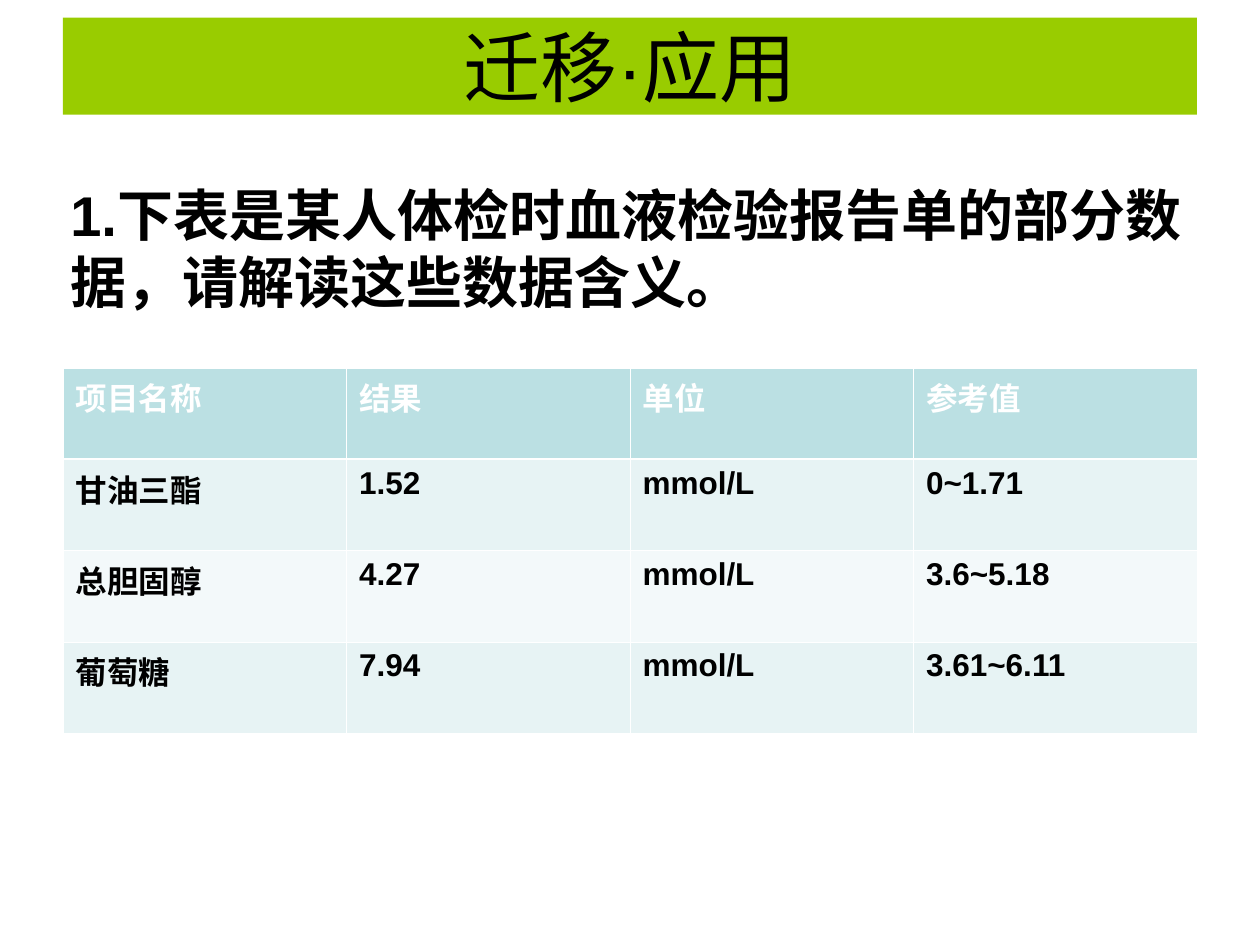
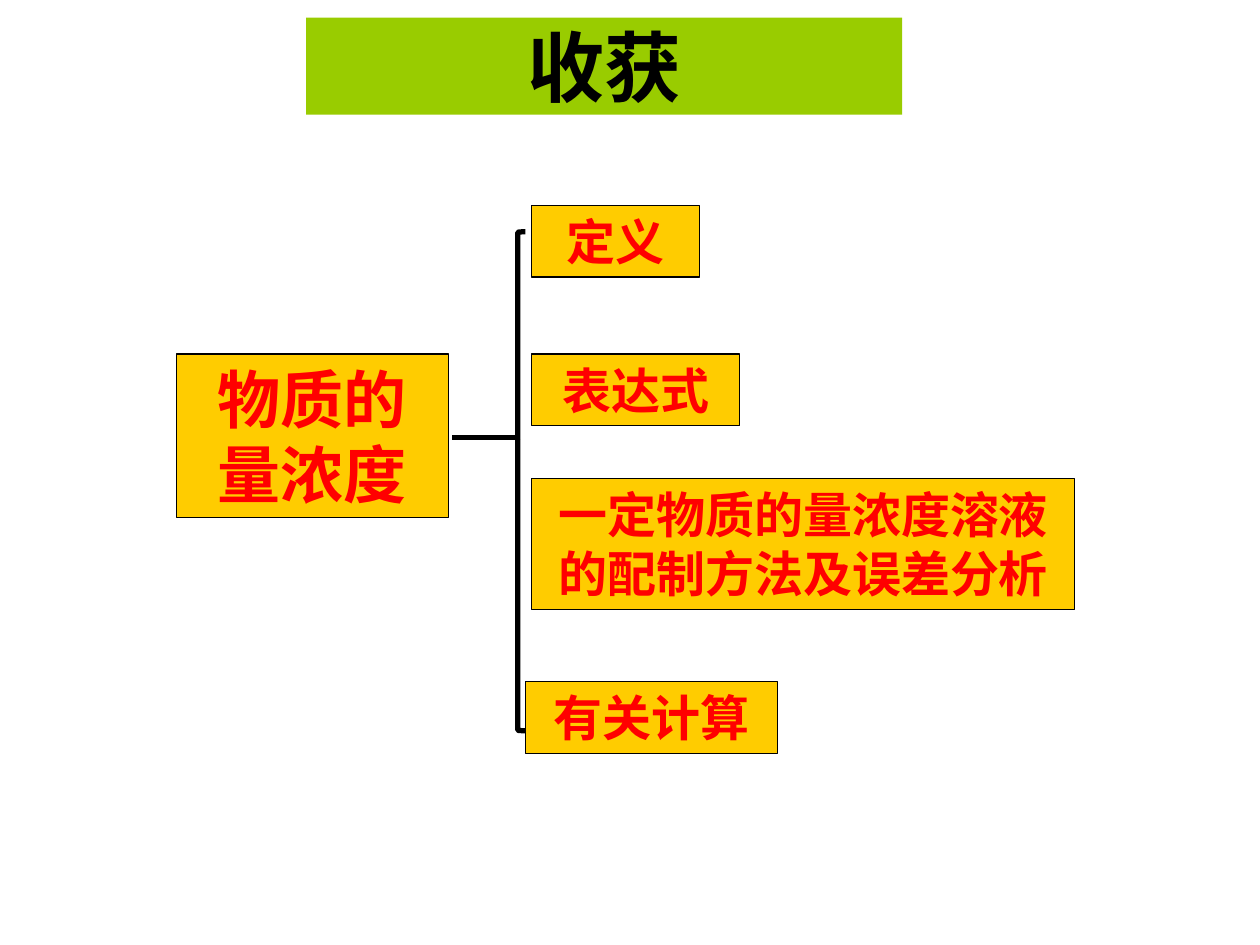
from dataclasses import dataclass

from lxml.etree import SubElement
from pptx import Presentation
from pptx.dml.color import RGBColor as Color
from pptx.enum.shapes import MSO_CONNECTOR as Connector, MSO_SHAPE as Preset
from pptx.enum.text import MSO_ANCHOR as Anchor, MSO_AUTO_SIZE as AutoSize, PP_ALIGN as Align
from pptx.oxml.ns import qn
from pptx.util import Inches, Pt


@dataclass(frozen=True)
class Theme:
    band: str = "99CC00"
    node: str = "FFCC00"
    node_text: str = "FF0000"
    ink: str = "000000"
    white: str = "FFFFFF"
    header: str = "BBE0E3"
    stripes: tuple = ("E7F3F4", "F3F9FA")
    latin: str = "Arial"
    serif: str = "Times New Roman"
    chinese: str = "Noto Sans CJK SC"
    title: int = 44
    root: int = 36
    question: int = 32
    branch: int = 28
    table: int = 18
    outline: float = 0.75
    bracket: int = 3
    border: float = 0.45
    header_border: float = 1.47


THEME = Theme()

deck = Presentation()
deck.slide_width, deck.slide_height = Inches(10), Inches(7.5)
COLUMN = deck.slide_width / 100
ROW = deck.slide_height / 75


def write(frame, lines, color, align=Align.LEFT, **look):
    """Fill a text frame with one paragraph per line; look holds font attributes."""
    for index, line in enumerate(lines):
        para = frame.paragraphs[0] if index == 0 else frame.add_paragraph()
        para.alignment = align
        span = para.add_run()
        span.text = line
        for name, value in look.items():
            setattr(span.font, name, value)
        span.font.color.rgb = Color.from_string(color)
        SubElement(span.font._element, qn("a:ea"), typeface=THEME.chinese)


def add_panel(page, place, fill, text, color, outlined=False, anchor=Anchor.TOP, **look):
    """Add a filled rectangle with centred text; place is in grid columns and rows."""
    left, top, width, height = place
    panel = page.shapes.add_shape(Preset.RECTANGLE, int(left * COLUMN), int(top * ROW),
                                  int(width * COLUMN), int(height * ROW))
    panel.shadow.inherit = False
    panel.fill.solid()
    panel.fill.fore_color.rgb = Color.from_string(fill)
    if outlined:
        panel.line.color.rgb = Color.from_string(THEME.ink)
        panel.line.width = Pt(THEME.outline)
    else:
        panel.line.fill.background()
    panel.text_frame.word_wrap = True
    panel.text_frame.vertical_anchor = anchor
    write(panel.text_frame, [text], color, Align.CENTER, **look)


# Pages with their title bands
titles = [("迁移·应用", 5, 90, False), ("收获", 24.3, 47.3, True)]
pages = []
for title, left, width, bold in titles:
    page = deck.slides.add_slide(deck.slide_layouts[6])
    add_panel(page, (left, 1.4, width, 7.7), THEME.band, title, THEME.ink,
              anchor=Anchor.MIDDLE, name=THEME.latin, size=Pt(THEME.title), bold=bold)
    pages.append(page)
report_page, summary_page = pages

# Question and blood report
question = report_page.shapes.add_textbox(int(4.6 * COLUMN), int(13.8 * ROW),
                                          int(91.3 * COLUMN), int(11.7 * ROW))
question.text_frame.word_wrap = False
question.text_frame.auto_size = AutoSize.SHAPE_TO_FIT_TEXT
write(question.text_frame,
      ["1.下表是某人体检时血液检验报告单的部分数", "据，请解读这些数据含义。"],
      THEME.ink, name=THEME.latin, size=Pt(THEME.question), bold=True)

report = [
    ("项目名称", "结果", "单位", "参考值"),
    ("甘油三酯", "1.52", "mmol/L", "0~1.71"),
    ("总胆固醇", "4.27", "mmol/L", "3.6~5.18"),
    ("葡萄糖", "7.94", "mmol/L", "3.61~6.11"),
]
table = report_page.shapes.add_table(len(report), len(report[0]), int(5 * COLUMN),
                                     int(29.2 * ROW), int(90 * COLUMN), int(29 * ROW)).table
table.horz_banding = False
for row, values in enumerate(report):
    fill = THEME.stripes[(row - 1) % 2] if row else THEME.header
    borders = {"lnL": THEME.border, "lnR": THEME.border,
               "lnT": THEME.header_border if row == 1 else THEME.border,
               "lnB": THEME.header_border if row == 0 else THEME.border}
    for column, value in enumerate(values):
        cell = table.cell(row, column)
        properties = cell._tc.get_or_add_tcPr()
        for side, points in borders.items():
            edge = SubElement(properties, qn(f"a:{side}"), w=str(Pt(points)))
            SubElement(SubElement(edge, qn("a:solidFill")), qn("a:srgbClr"), val=THEME.white)
        cell.fill.solid()
        cell.fill.fore_color.rgb = Color.from_string(fill)
        write(cell.text_frame, [value], THEME.ink if row else THEME.white,
              name=THEME.latin, size=Pt(THEME.table), bold=True)

# Concept tree: root, stem, bracket, branches
add_panel(summary_page, (14, 28.1, 21.6, 13), THEME.node, "物质的量浓度", THEME.node_text,
          outlined=True, name=THEME.chinese, size=Pt(THEME.root), bold=True)

stem_row = int(34.7 * ROW)
stem = summary_page.shapes.add_connector(Connector.STRAIGHT, int(41.3 * COLUMN), stem_row,
                                         int(35.9 * COLUMN), stem_row)
SubElement(stem._element.spPr, qn("a:effectLst"))
bracket = summary_page.shapes.add_shape(Preset.LEFT_BRACKET, int(41.1 * COLUMN), int(18.4 * ROW),
                                        int(0.6 * COLUMN), int(39.6 * ROW))
bracket.shadow.inherit = False
bracket.fill.background()
for stroke in (stem.line, bracket.line):
    stroke.color.rgb = Color.from_string(THEME.ink)
    stroke.width = Pt(THEME.bracket)

branches = [
    ("定义", (42.2, 16.3, 13.3, 5.7)),
    ("表达式", (42.2, 28.1, 16.5, 5.7)),
    ("一定物质的量浓度溶液的配制方法及误差分析", (42.2, 38, 43.1, 10.4)),
    ("有关计算", (41.7, 54.1, 20, 5.7)),
]
for text, place in branches:
    add_panel(summary_page, place, THEME.node, text, THEME.node_text, outlined=True,
              name=THEME.serif, size=Pt(THEME.branch), bold=True)

deck.save("out.pptx")
